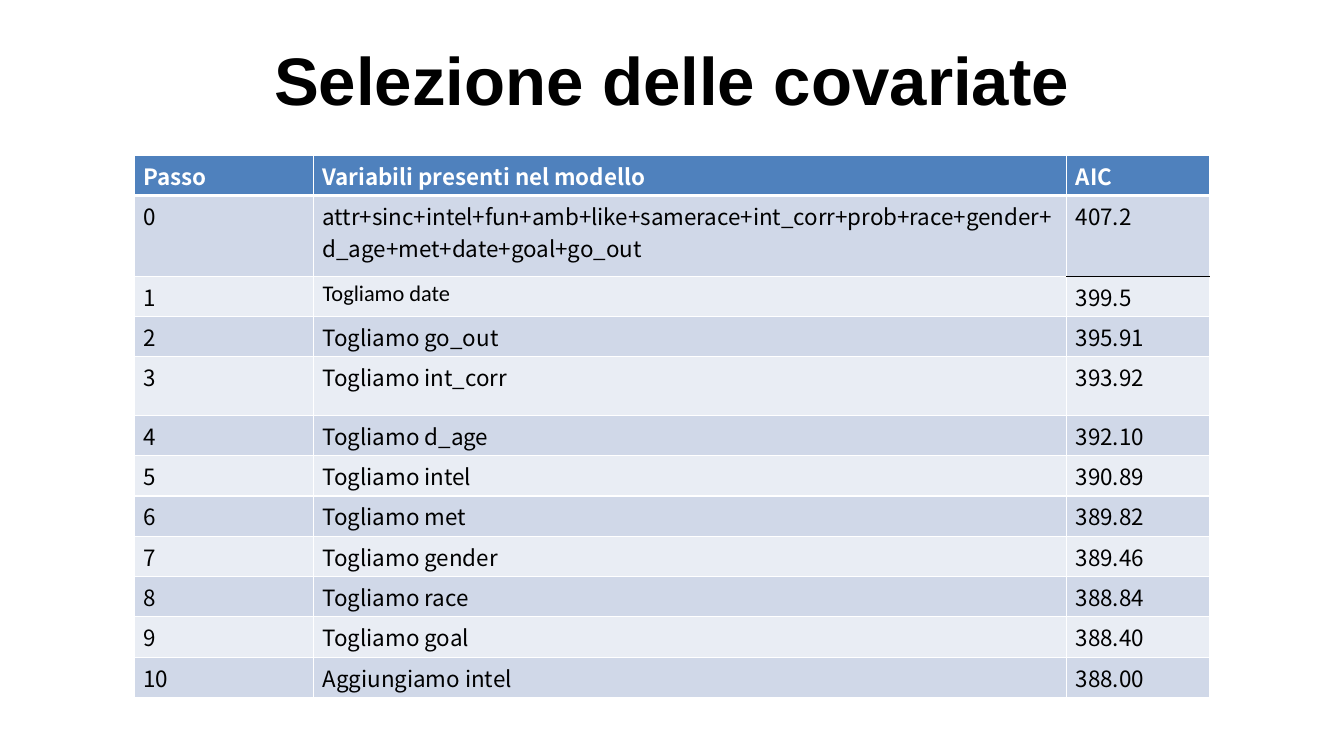
from lxml import etree
from pptx import Presentation
from pptx import util as u
from pptx.dml.color import RGBColor
from pptx.enum import text
from pptx.oxml.ns import qn

COLORS = {"black": "000000", "white": "FFFFFF", "header": "4F81BD",
          "dark_band": "D0D8E8", "light_band": "E9EDF4"}
BODY_FONT = "Noto Sans CJK KR"


def write(tf, words, size=16, font=BODY_FONT, color="black", bold=False,
          align=text.PP_ALIGN.LEFT):
    p = tf.paragraphs[0]
    p.alignment = align
    r = p.add_run()
    r.text = words
    r.font.size = u.Pt(size)
    r.font.name = font
    r.font.bold = bold
    r.font.color.rgb = RGBColor.from_string(COLORS[color])


def add_border(cell, side, color="white", width=1):
    """Draw one cell side (L, R, T or B), width in points."""
    ln = etree.SubElement(cell._tc.get_or_add_tcPr(), qn(f"a:ln{side}"),
                          w=str(u.Pt(width)))
    fill = etree.SubElement(ln, qn("a:solidFill"))
    etree.SubElement(fill, qn("a:srgbClr"), val=COLORS[color])


prs = Presentation()
prs.slide_width, prs.slide_height = u.Inches(13.33), u.Inches(7.5)
s = prs.slides.add_slide(prs.slide_layouts[5])

title = s.shapes.title
title.left, title.top = u.Inches(0), u.Inches(0.21)
title.width, title.height = u.Inches(13.33), u.Inches(1.15)
title.text_frame.vertical_anchor = text.MSO_ANCHOR.MIDDLE
write(title.text_frame, "Selezione delle covariate", size=48, font="Arial",
      bold=True, align=text.PP_ALIGN.CENTER)

steps = [
    ("attr+sinc+intel+fun+amb+like+samerace+int_corr+prob+race+gender"
     "+d_age+met+date+goal+go_out", "407.2"),
    ("Togliamo date", "399.5"),
    ("Togliamo go_out", "395.91"),
    ("Togliamo int_corr", "393.92"),
    ("Togliamo d_age", "392.10"),
    ("Togliamo intel", "390.89"),
    ("Togliamo met", "389.82"),
    ("Togliamo gender", "389.46"),
    ("Togliamo race", "388.84"),
    ("Togliamo goal", "388.40"),
    ("Aggiungiamo intel", "388.00"),
]
rows = [("Passo", "Variabili presenti nel modello", "AIC")]
rows += [(str(n), variables, aic) for n, (variables, aic) in enumerate(steps)]
col_widths = [1.78, 7.47, 1.42]
row_heights = [0.39, 0.8, 0.4, 0.4, 0.58] + [0.4] * 7

table = s.shapes.add_table(len(rows), len(col_widths), u.Inches(1.33), u.Inches(1.54),
                           u.Inches(sum(col_widths)), u.Inches(sum(row_heights))).table
for column, width in zip(table.columns, col_widths):
    column.width = u.Inches(width)

for i, row in enumerate(rows):
    table.rows[i].height = u.Inches(row_heights[i])
    is_header = i == 0
    band = "header" if is_header else "dark_band" if i % 2 else "light_band"
    for j, words in enumerate(row):
        cell = table.cell(i, j)
        cell.margin_left = cell.margin_right = u.Inches(0.09)
        cell.margin_top = cell.margin_bottom = u.Inches(0.04)
        black_line = {(1, 2): "B", (2, 2): "T"}.get((i, j))
        thick_line = {0: "B", 1: "T"}.get(i)
        for side in "LRTB":
            add_border(cell, side, "black" if side == black_line else "white",
                       3 if side == thick_line else 1)
        cell.fill.solid()
        cell.fill.fore_color.rgb = RGBColor.from_string(COLORS[band])
        write(cell.text_frame, words, bold=is_header,
              color="white" if is_header else "black",
              font="Calibri" if words == "Togliamo date" else BODY_FONT)

prs.save("out.pptx")
